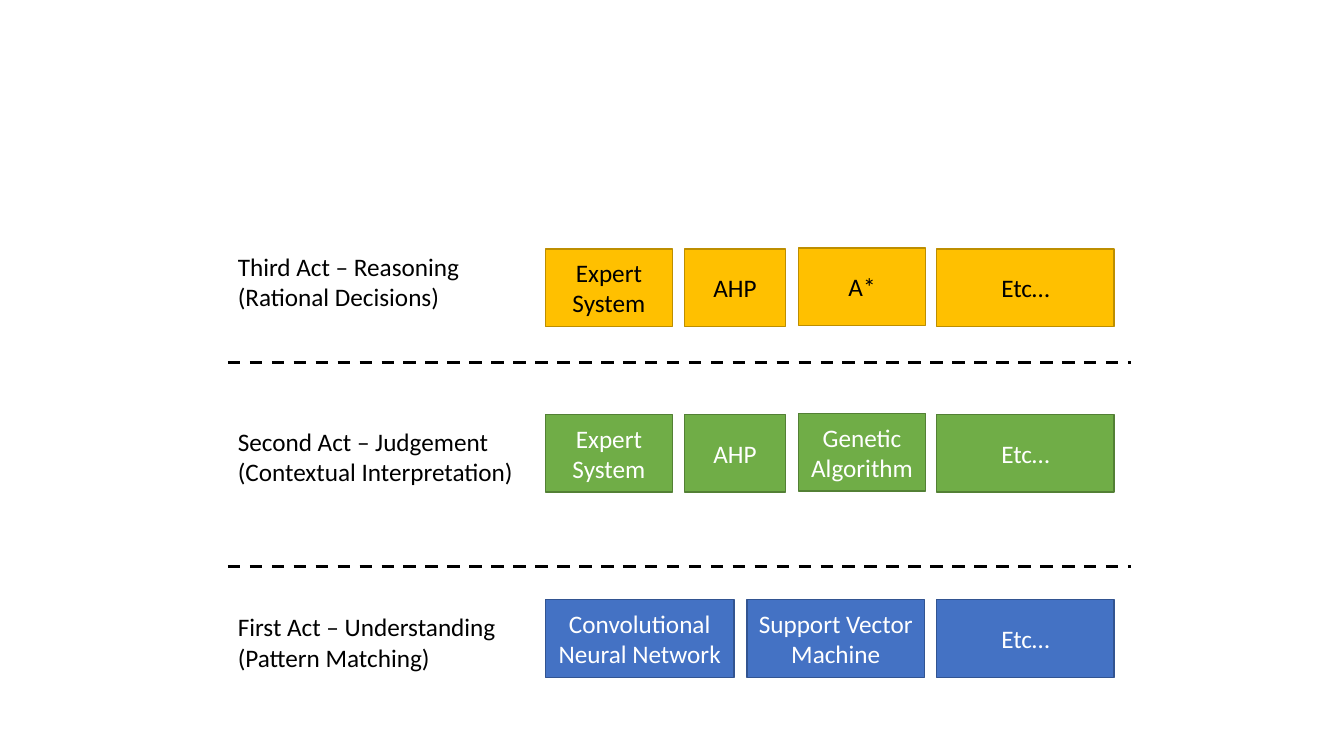
import pptx
import pptx.dml.color
import pptx.enum.dml
import pptx.enum.shapes
import pptx.enum.text
import pptx.util
from lxml import etree
from pptx.util import Inches

COLORS = {
    "black": "000000", "white": "FFFFFF",
    "blue": "4472C4", "blue_edge": "325491",
    "green": "70AD47", "green_edge": "538035",
    "gold": "FFC000", "gold_edge": "BD8E00",
}
LEFT, RIGHT = 2.26, 11.22
BOX_HEIGHT = 0.77


def rgb(name):
    return pptx.dml.color.RGBColor.from_string(COLORS[name])


def add_text(p, text, color):
    r = p.add_run()
    r.text = text
    r.font.name = "Calibri"
    r.font.size = pptx.util.Pt(18)
    r.font.color.rgb = rgb(color)


prs = pptx.Presentation()
prs.slide_width, prs.slide_height = Inches(13.33), Inches(7.5)
s = prs.slides.add_slide(prs.slide_layouts[6])

# Each act: label lines, label top, fill, text colour, boxes (text, left, top, width)
acts = [
    (("Third Act – Reasoning", "(Rational Decisions)"), 2.44, "gold", "black",
     [("Expert System", 5.41, 2.47, 1.26), ("AHP", 6.79, 2.47, 1),
      ("A*", 7.92, 2.46, 1.26), ("Etc…", 9.29, 2.47, 1.76)]),
    (("Second Act – Judgement", "(Contextual Interpretation)"), 4.18, "green", "white",
     [("Expert System", 5.41, 4.11, 1.26), ("AHP", 6.79, 4.11, 1),
      ("Genetic Algorithm", 7.92, 4.1, 1.26), ("Etc…", 9.29, 4.11, 1.76)]),
    (("First Act – Understanding", "(Pattern Matching)"), 6.02, "blue", "white",
     [("Convolutional Neural Network", 5.41, 5.95, 1.87),
      ("Support Vector Machine", 7.41, 5.95, 1.76), ("Etc…", 9.29, 5.95, 1.76)]),
]

for label, label_top, fill, text_color, boxes in acts:
    tf = s.shapes.add_textbox(Inches(LEFT), Inches(label_top),
                              Inches(3.01), Inches(0.71)).text_frame
    tf.word_wrap = True
    tf.auto_size = pptx.enum.text.MSO_AUTO_SIZE.SHAPE_TO_FIT_TEXT
    for i, line in enumerate(label):
        p = tf.add_paragraph() if i else tf.paragraphs[0]
        add_text(p, line, "black")

    for text, left, top, width in boxes:
        sp = s.shapes.add_shape(pptx.enum.shapes.MSO_SHAPE.RECTANGLE, Inches(left),
                                Inches(top), Inches(width), Inches(BOX_HEIGHT))
        sp.shadow.inherit = False
        sp.fill.solid()
        sp.fill.fore_color.rgb = rgb(fill)
        sp.line.color.rgb = rgb(fill + "_edge")
        sp.line.width = pptx.util.Pt(1)
        tf = sp.text_frame
        tf.word_wrap = True
        tf.vertical_anchor = pptx.enum.text.MSO_ANCHOR.MIDDLE
        p = tf.paragraphs[0]
        p.alignment = pptx.enum.text.PP_ALIGN.CENTER
        add_text(p, text, text_color)

for y in (3.6, 5.62):
    divider = s.shapes.add_connector(pptx.enum.shapes.MSO_CONNECTOR.STRAIGHT,
                                     Inches(LEFT), Inches(y), Inches(RIGHT), Inches(y))
    divider.line.color.rgb = rgb("black")
    divider.line.width = pptx.util.Pt(2.25)
    divider.line.dash_style = pptx.enum.dml.MSO_LINE.DASH
    etree.SubElement(divider._element.spPr, pptx.oxml.ns.qn("a:effectLst"))

prs.save("out.pptx")
